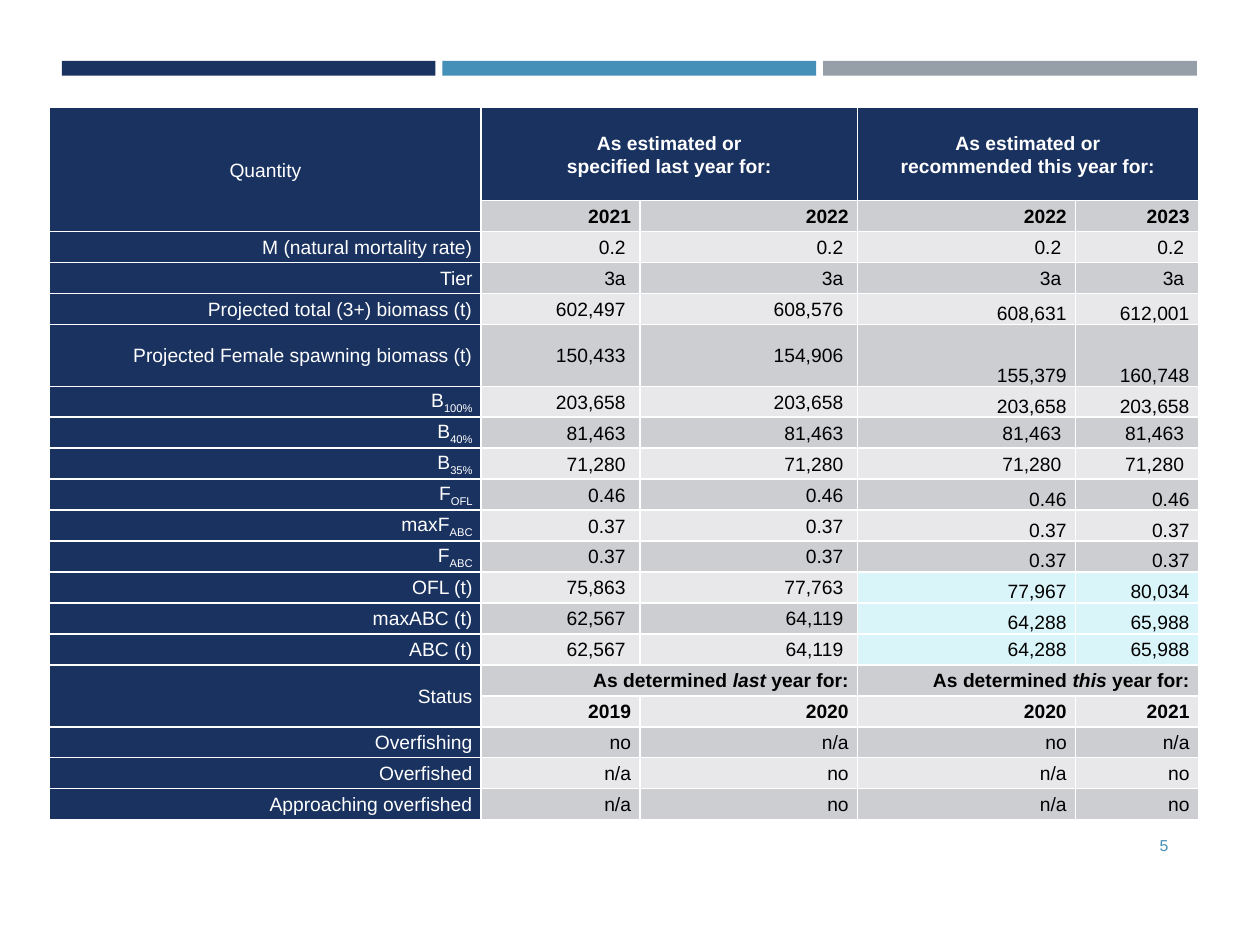
from lxml import etree
from pptx import Presentation
from pptx.dml.color import RGBColor
from pptx.enum import shapes, text
from pptx.oxml import ns
from pptx.util import Pt

NAVY = RGBColor(0x1A, 0x32, 0x60)
BLUE = RGBColor(0x45, 0x90, 0xB8)
GREY = RGBColor(0x96, 0x9F, 0xA7)
DARK_BAND = RGBColor(0xCD, 0xCE, 0xD2)
LIGHT_BAND = RGBColor(0xE8, 0xE8, 0xEA)
HIGHLIGHT = RGBColor(0xDA, 0xF5, 0xFA)
WHITE = RGBColor(0xFF, 0xFF, 0xFF)
BLACK = RGBColor(0, 0, 0)

# "_" starts a subscript, "*" switches italics; None is a cell covered by a merge.
# A trailing space keeps a value clear of the right edge.
ROWS = [
    ("Quantity", "As estimated or\nspecified last year for:", None,
     "As estimated or\nrecommended this year for:", None),
    (None, "2021", "2022", "2022", "2023"),
    ("M (natural mortality rate)", "0.2 ", "0.2 ", "0.2 ", "0.2 "),
    ("Tier", "3a ", "3a ", "3a ", "3a "),
    ("Projected total (3+) biomass (t)", "602,497 ", "608,576 ", "608,631", "612,001"),
    ("Projected Female spawning biomass (t)", "150,433 ", "154,906 ", "155,379", "160,748"),
    ("B_100%", "203,658 ", "203,658 ", "203,658", "203,658"),
    ("B_40%", "81,463 ", "81,463 ", "81,463 ", "81,463 "),
    ("B_35%", "71,280 ", "71,280 ", "71,280 ", "71,280 "),
    ("F_OFL", "0.46 ", "0.46 ", "0.46", "0.46"),
    ("maxF_ABC", "0.37 ", "0.37 ", "0.37", "0.37"),
    ("F_ABC", "0.37 ", "0.37 ", "0.37", "0.37"),
    ("OFL (t)", "75,863 ", "77,763 ", "77,967", "80,034"),
    ("maxABC (t)", "62,567 ", "64,119 ", "64,288", "65,988"),
    ("ABC (t)", "62,567 ", "64,119 ", "64,288", "65,988"),
    ("Status", "As determined *last* year for:", None,
     "As determined *this* year for:", None),
    (None, "2019", "2020", "2020", "2021"),
    ("Overfishing", "no", "n/a", "no", "n/a"),
    ("Overfished", "n/a", "no", "n/a", "no"),
    ("Approaching overfished", "n/a", "no", "n/a", "no"),
]
HEADING_ROWS = {0, 1, 15, 16}
BOTTOM_ROWS = {4, 5, 6, 9, 10, 11, 12, 13}
HIGHLIGHT_ROWS = {12, 13, 14}
THIS_YEAR = 3  # first column of this year's values

COLUMN_WIDTHS = [246.6, 90.6, 124.4, 124.6, 70.2]
ROW_HEIGHT = 17.7
TALL_ROWS = {0: 3, 5: 2}  # heights in single rows
TABLE_LEFT, TABLE_TOP = 28.4, 61.5

BAR_COLOURS = [NAVY, BLUE, GREY]
BAR_LEFT, BAR_TOP, BAR_WIDTH, BAR_HEIGHT, BAR_GAP = 35.3, 34.8, 213.6, 8.4, 3.9


def add_span(para, words, size, colour, bold=False, italic=False):
    span = para.add_run()
    span.text = words
    font = span.font
    font.name, font.size, font.bold, font.italic = "Arial", Pt(size), bold, italic
    font.color.rgb = colour
    return span


def write_line(para, line, colour, bold):
    """Write one line, turning its marks into italic and subscript runs."""
    main, _, subscript = line.partition("_")
    for index, words in enumerate(main.split("*")):
        add_span(para, words, 11, colour, bold, index % 2 == 1)
    if subscript:
        span = add_span(para, subscript, 11, colour, bold)
        span.font._element.set("baseline", "-25000")


def add_borders(cell):
    properties = cell._tc.get_or_add_tcPr()
    for side in ("a:lnL", "a:lnR", "a:lnT", "a:lnB"):
        line = etree.SubElement(properties, ns.qn(side), w=str(Pt(1)))
        fill = etree.SubElement(line, ns.qn("a:solidFill"))
        etree.SubElement(fill, ns.qn("a:srgbClr"), val=str(WHITE))


def cell_fill(row, column):
    if column == 0 or row == 0:
        return NAVY
    if row in HIGHLIGHT_ROWS and column >= THIS_YEAR:
        return HIGHLIGHT
    return DARK_BAND if row % 2 else LIGHT_BAND


def format_cell(cell, row, column):
    cell.margin_left = cell.margin_right = Pt(5)
    cell.margin_top = cell.margin_bottom = 0
    at_bottom = row in BOTTOM_ROWS and column >= THIS_YEAR
    cell.vertical_anchor = text.MSO_ANCHOR.BOTTOM if at_bottom else text.MSO_ANCHOR.MIDDLE
    add_borders(cell)
    cell.fill.solid()
    cell.fill.fore_color.rgb = cell_fill(row, column)


def fill_cell(cell, content, row, column):
    colour = WHITE if column == 0 or row == 0 else BLACK
    bold = row in HEADING_ROWS and column > 0
    for index, line in enumerate(content.split("\n")):
        frame = cell.text_frame
        para = frame.add_paragraph() if index else frame.paragraphs[0]
        para.alignment = text.PP_ALIGN.RIGHT if row else text.PP_ALIGN.CENTER
        para.line_spacing = 1.07
        write_line(para, line, colour, bold)


def add_bars(page):
    for index, colour in enumerate(BAR_COLOURS):
        left = BAR_LEFT + index * (BAR_WIDTH + BAR_GAP)
        bar = page.shapes.add_shape(shapes.MSO_SHAPE.RECTANGLE, Pt(left), Pt(BAR_TOP),
                                    Pt(BAR_WIDTH), Pt(BAR_HEIGHT))
        bar.shadow.inherit = False
        bar.fill.solid()
        bar.fill.fore_color.rgb = colour
        bar.line.fill.background()


def add_quantity_table(page):
    heights = [ROW_HEIGHT * TALL_ROWS.get(row, 1) for row in range(len(ROWS))]
    table = page.shapes.add_table(len(ROWS), len(COLUMN_WIDTHS), Pt(TABLE_LEFT), Pt(TABLE_TOP),
                                  Pt(sum(COLUMN_WIDTHS)), Pt(sum(heights))).table
    for column, width in zip(table.columns, COLUMN_WIDTHS):
        column.width = Pt(width)
    for row, height in zip(table.rows, heights):
        row.height = Pt(height)
    for row, contents in enumerate(ROWS):
        for column, content in enumerate(contents):
            cell = table.cell(row, column)
            format_cell(cell, row, column)
            if content is not None:
                fill_cell(cell, content, row, column)
    for row in (0, 15):
        table.cell(row, 0).merge(table.cell(row + 1, 0))
        for column in (1, THIS_YEAR):
            table.cell(row, column).merge(table.cell(row, column + 1))


def add_page_number(page):
    box = page.shapes.add_textbox(Pt(614.2), Pt(468.7), Pt(60.5), Pt(28.8))
    frame = box.text_frame
    frame.word_wrap = True
    frame.vertical_anchor = text.MSO_ANCHOR.MIDDLE
    para = frame.paragraphs[0]
    para.alignment = text.PP_ALIGN.RIGHT
    add_span(para, "5", 9, BLUE)


def main():
    deck = Presentation()
    deck.slide_width, deck.slide_height = Pt(720), Pt(540)
    page = deck.slides.add_slide(deck.slide_layouts[6])
    add_bars(page)
    add_page_number(page)
    add_quantity_table(page)
    deck.save("out.pptx")


if __name__ == "__main__":
    main()
